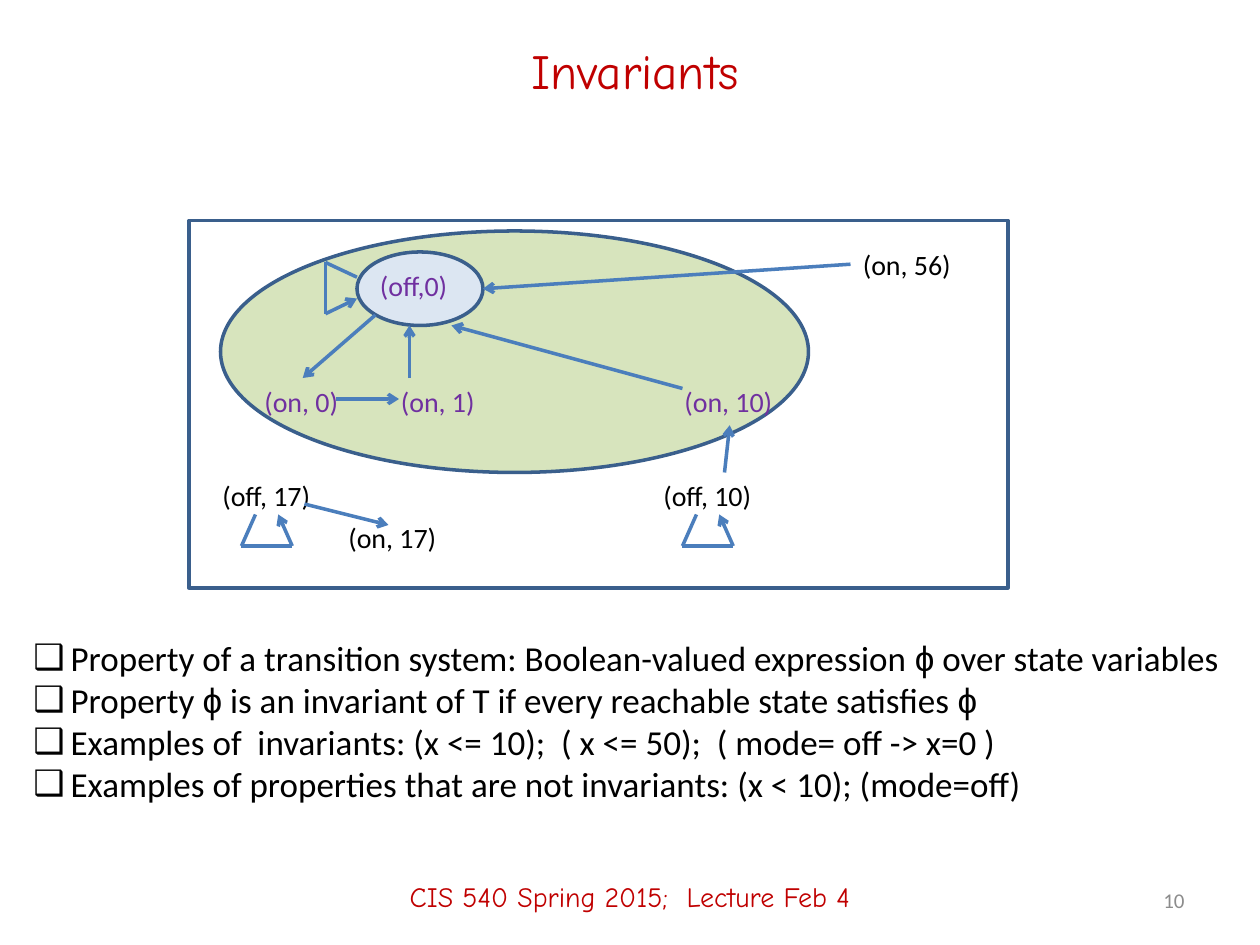
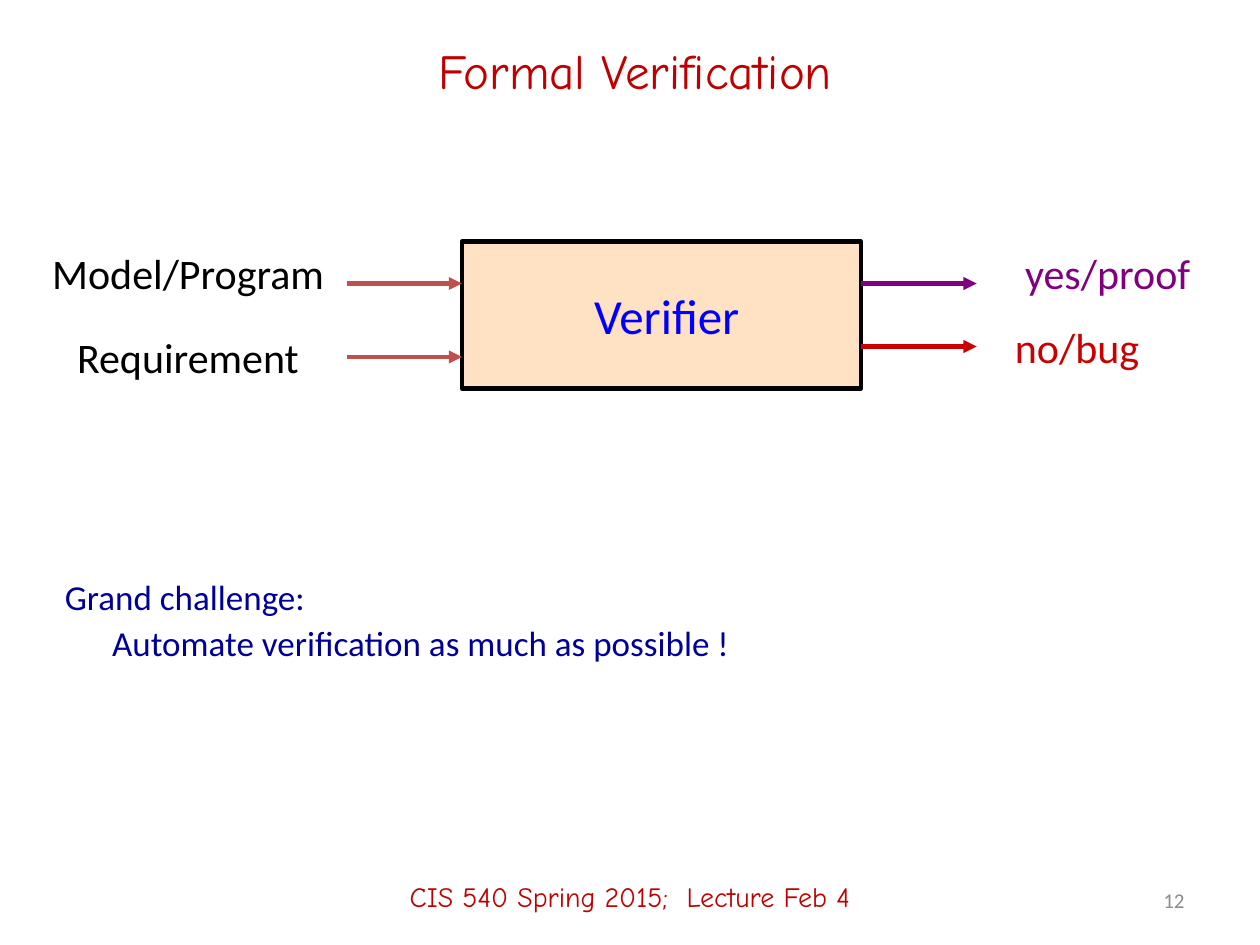
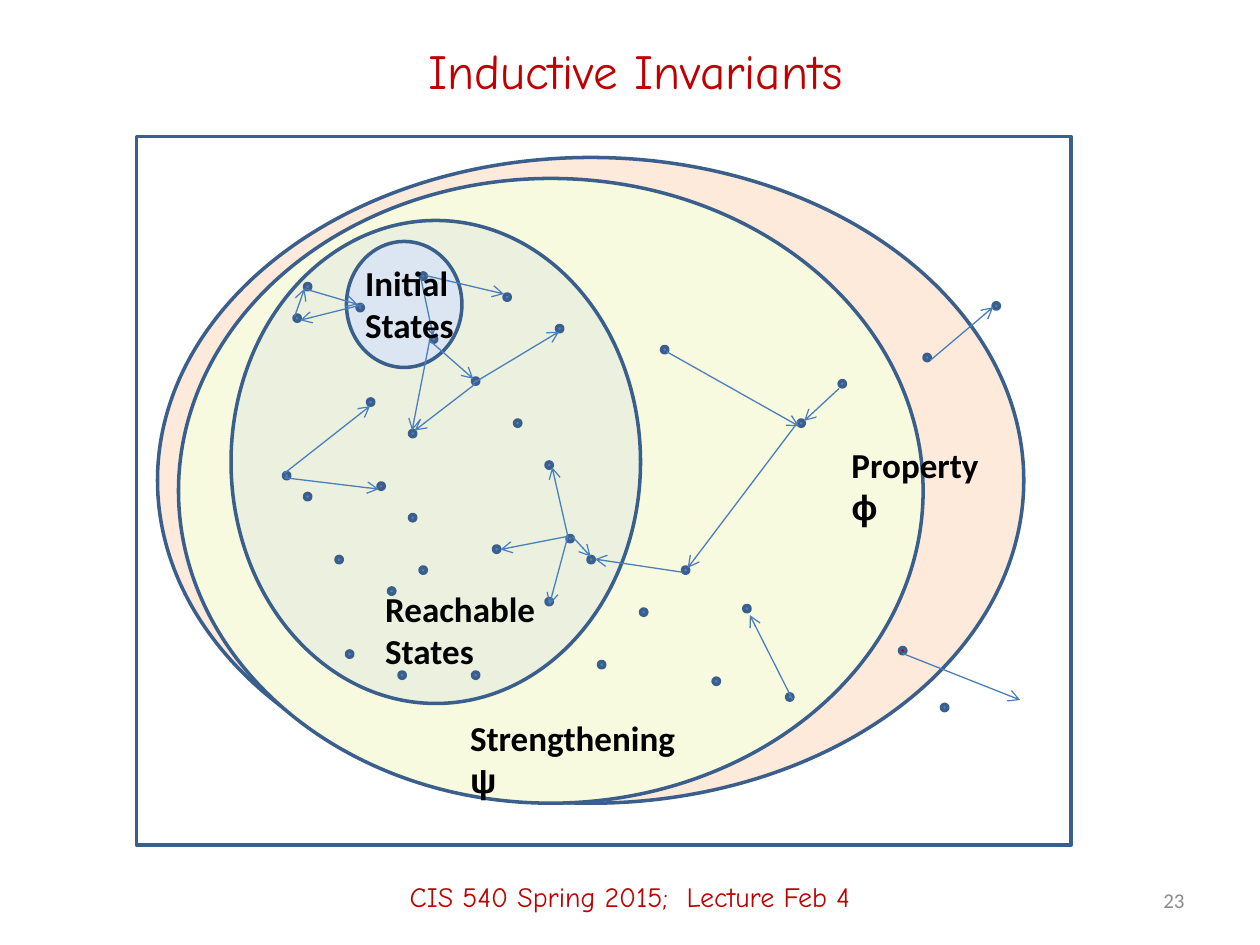
from collections import namedtuple
from itertools import groupby, pairwise

from lxml import etree
from pptx import Presentation
from pptx.dml.color import RGBColor
from pptx.enum import shapes, text
from pptx.oxml.ns import qn
from pptx.util import Pt

Box = namedtuple("Box", "left top width height")

BLACK = RGBColor(0x00, 0x00, 0x00)
TITLE_RED = RGBColor(0xC0, 0x00, 0x00)
NUMBER_GREY = RGBColor(0x8C, 0x8C, 0x8C)
OUTLINE_BLUE = RGBColor(0x3A, 0x5F, 0x8C)
ARROW_BLUE = RGBColor(0x4B, 0x7E, 0xBC)
DOT_BLUE = RGBColor(0x4F, 0x81, 0xBD)
INITIAL_BLUE = RGBColor(0xDC, 0xE6, 0xF2)
REACHABLE_GREEN = RGBColor(0xD7, 0xE4, 0xBD)
REACHABLE_PALE = RGBColor(0xEB, 0xF1, 0xDE)
STRENGTHENING_YELLOW = RGBColor(0xF7, 0xFA, 0xDE)
PROPERTY_PEACH = RGBColor(0xFD, 0xEA, 0xDA)
STATE_PURPLE = RGBColor(0x70, 0x30, 0xA0)
VERIFIER_FILL = RGBColor(0xFF, 0xCC, 0x99)
VERIFIER_BLUE = RGBColor(0x00, 0x00, 0xFF)
INPUT_RED = RGBColor(0xC0, 0x50, 0x4D)
PROOF_PURPLE = RGBColor(0x80, 0x00, 0x80)
BUG_RED = RGBColor(0xCC, 0x00, 0x00)
CHALLENGE_BLUE = RGBColor(0x00, 0x00, 0x99)

BODY_FONT = "Calibri"
TITLE_FONT = "Comic Neue"
GREEK_FONT = "Arial"
GREEK = "ϕψ"

LEFT, CENTER, RIGHT = text.PP_ALIGN.LEFT, text.PP_ALIGN.CENTER, text.PP_ALIGN.RIGHT
TOP, MIDDLE = text.MSO_ANCHOR.TOP, text.MSO_ANCHOR.MIDDLE
OVAL, RECTANGLE = shapes.MSO_SHAPE.OVAL, shapes.MSO_SHAPE.RECTANGLE


def within(box, left, top, width, height):
    """Turn a place relative to a box into a place on the slide."""
    return Box(box.left + left, box.top + top, width, height)


def add_text(slide, box, lines, size, color=BLACK, font=BODY_FONT, bold=False,
             align=LEFT, anchor=TOP, wrap=False):
    """Add one paragraph a line, with Greek letters in runs of their own font."""
    frame = slide.shapes.add_textbox(*map(Pt, box)).text_frame
    frame.word_wrap = wrap
    frame.vertical_anchor = anchor
    for index, line in enumerate(lines):
        paragraph = frame.add_paragraph() if index else frame.paragraphs[0]
        paragraph.alignment = align
        for is_greek, letters in groupby(line, lambda letter: letter in GREEK):
            run = paragraph.add_run()
            run.text = "".join(letters)
            run.font.name = GREEK_FONT if is_greek else font
            run.font.size = Pt(size)
            run.font.bold = bold
            run.font.color.rgb = color
    return frame


def set_indent(paragraph, margin, first_line):
    properties = paragraph._p.get_or_add_pPr()
    properties.set("marL", str(Pt(margin)))
    properties.set("indent", str(Pt(first_line)))
    return properties


def add_outlined(slide, kind, box, fill=None, line=OUTLINE_BLUE, weight=2):
    shape = slide.shapes.add_shape(kind, *map(Pt, box))
    shape.shadow.inherit = False
    if fill is None:
        shape.fill.background()
    else:
        shape.fill.solid()
        shape.fill.fore_color.rgb = fill
    shape.line.color.rgb = line
    shape.line.width = Pt(weight)
    return shape


def add_line(slide, box, start, end, color=ARROW_BLUE, weight=2, head="arrow"):
    ends = [Pt(value) for x, y in (start, end) for value in (box.left + x, box.top + y)]
    connector = slide.shapes.add_connector(shapes.MSO_CONNECTOR.STRAIGHT, *ends)
    connector.line.color.rgb = color
    connector.line.width = Pt(weight)
    if head:
        etree.SubElement(connector.line._get_or_add_ln(), qn("a:tailEnd"), type=head)
    etree.SubElement(connector._element.spPr, qn("a:effectLst"))


def add_self_loop(slide, box, corners):
    sides = list(pairwise(corners))
    for side in sides:
        add_line(slide, box, *side, head="arrow" if side == sides[-1] else None)


def add_lecture_slide(presentation, title, number):
    """Add a slide with the title, footer and number that all slides share."""
    slide = presentation.slides.add_slide(presentation.slide_layouts[6])
    heading = dict(color=TITLE_RED, font=TITLE_FONT, align=CENTER, anchor=MIDDLE, wrap=True)
    add_text(slide, Box(54, 12, 618, 56), [title], 28, **heading)
    add_text(slide, Box(0, 484, 720, 56), ["CIS 540 Spring 2015;  Lecture Feb 4"], 16, **heading)
    add_text(slide, Box(516, 500, 168, 29), [str(number)], 12, NUMBER_GREY,
             align=RIGHT, anchor=MIDDLE, wrap=True)
    return slide


def add_transition_system(slide, box):
    add_outlined(slide, OVAL, within(box, 18, 6, 336, 138), REACHABLE_GREEN)
    add_outlined(slide, RECTANGLE, box)
    add_outlined(slide, OVAL, within(box, 96, 18, 72, 42), INITIAL_BLUE)

    states = [
        ("(off,0)", 102, 24, 54, STATE_PURPLE),
        ("(on, 0)", 36, 90, 58, STATE_PURPLE),
        ("(on, 1)", 114, 90, 58, STATE_PURPLE),
        ("(on, 10)", 276, 90, 66, STATE_PURPLE),
        ("(on, 56)", 378, 12, 66, BLACK),
        ("(off, 17)", 12, 144, 66, BLACK),
        ("(on, 17)", 84, 168, 66, BLACK),
        ("(off, 10)", 264, 144, 66, BLACK),
    ]
    for name, left, top, width, color in states:
        add_text(slide, within(box, left, top, width, 27), [name], 16, color)

    transitions = [
        ((84, 102), (120, 102)),
        ((378, 25), (168, 39)),
        ((106.5, 54), (65, 90)),
        ((66, 162), (114, 174)),
        ((126, 90), (126, 60)),
        ((282, 96), (150, 60)),
        ((306, 144), (309, 117)),
    ]
    for start, end in transitions:
        add_line(slide, box, start, end)

    add_self_loop(slide, box, [(96, 32.4), (78, 24), (78, 53.3), (96, 44.6)])
    for left in (30, 282):
        add_self_loop(slide, box, [(left + 8, 168), (left, 186), (left + 29, 186), (left + 21, 168)])


def add_bullets(slide, box, lines):
    frame = add_text(slide, box, lines, 20, wrap=True)
    for paragraph in frame.paragraphs:
        properties = set_indent(paragraph, 21.3, -21.3)
        etree.SubElement(properties, qn("a:buFont"), typeface=GREEK_FONT)
        etree.SubElement(properties, qn("a:buChar"), char="❑")


def add_verifier(slide, box):
    verifier_left, verifier_right, arrow_length = 242, 470, 66
    verifier = add_outlined(slide, RECTANGLE,
                            within(box, verifier_left, 0, verifier_right - verifier_left, box.height),
                            VERIFIER_FILL, BLACK, 2.5)
    fill_color = verifier._element.spPr.find(qn("a:solidFill")).find(qn("a:srgbClr"))
    etree.SubElement(fill_color, qn("a:alpha"), val="58000")

    arrows = [
        (verifier_left - arrow_length, 24, INPUT_RED),
        (verifier_left - arrow_length, 66, INPUT_RED),
        (verifier_right, 24, PROOF_PURPLE),
        (verifier_right, 60, BUG_RED),
    ]
    for left, top, color in arrows:
        add_line(slide, box, (left, top), (left + arrow_length, top), color, 2.5, "triangle")

    labels = [
        ("Model/Program", 0, 0, 171, BLACK),
        ("Requirement", 8, 48, 155, BLACK),
        ("yes/proof", 548, 0, 126, PROOF_PURPLE),
        ("no/bug", 548, 42, 91, BUG_RED),
    ]
    for label, left, top, width, color in labels:
        add_text(slide, within(box, left, top, width, 36), [label], 24, color,
                 align=CENTER, anchor=MIDDLE)
    add_text(slide, within(box, 230, 0, 258, box.height), ["Verifier"], 28, VERIFIER_BLUE,
             align=CENTER, anchor=MIDDLE, wrap=True)


def add_challenge(slide, box):
    lines = ["Grand challenge:", "Automate verification as much as possible !"]
    heading, goal = add_text(slide, box, lines, 20, CHALLENGE_BLUE, wrap=True).paragraphs
    set_indent(heading, 27, -27)
    set_indent(goal, 27, 0)
    heading.line_spacing = goal.line_spacing = 0.8
    goal.space_before = Pt(7)


def add_state_space(slide, box):
    regions = [
        ((12, 12, 495, 369), PROPERTY_PEACH),
        ((24, 24, 425.5, 357), STRENGTHENING_YELLOW),
        ((54, 48, 234, 276), REACHABLE_PALE),
        ((120, 60, 66, 72), INITIAL_BLUE),
    ]
    for place, fill in regions:
        add_outlined(slide, OVAL, within(box, *place), fill)
    add_outlined(slide, RECTANGLE, box)

    states = [
        (96, 84), (126, 96), (90, 102), (132, 150), (162, 78), (168, 114), (156, 168),
        (156, 216), (210, 90), (216, 162), (138, 198), (144, 258), (240, 108), (192, 138),
        (162, 246), (204, 234), (84, 192), (96, 204), (114, 240), (120, 294), (246, 228),
        (258, 240), (234, 264), (192, 306), (234, 186), (300, 120), (288, 270), (150, 306),
        (264, 300), (378, 162), (312, 246), (347, 268), (329.5, 309.5), (450, 124.5),
        (371.5, 318.5), (460, 324.5), (489.5, 95), (401.5, 139.5),
    ]
    violating_state = (436, 292)
    for state in states + [violating_state]:
        color = TITLE_RED if state == violating_state else DOT_BLUE
        add_outlined(slide, OVAL, within(box, *state, 3.6, 3.6), color)

    transitions = [
        ((165.5, 79.5), (210, 90)),
        ((162.5, 81), (169.5, 114)),
        ((246.5, 228.5), (236, 267.5)),
        ((246.5, 228.5), (208, 236)),
        ((249, 228.5), (259.5, 240)),
        ((246.5, 228.5), (237.5, 189)),
        ((84.5, 192.5), (133.5, 154)),
        ((84.5, 195), (138.5, 201.5)),
        ((312, 249), (262, 241.5)),
        ((303, 123), (378.5, 165.5)),
        ((378.5, 162.5), (315, 246.5)),
        ((168, 117), (192.5, 138.5)),
        ((168, 114), (157.5, 168)),
        ((193.5, 141.5), (159, 168)),
        ((192.5, 141), (241.5, 111.5)),
        ((129.5, 96), (93.5, 105)),
        ((90.5, 102.5), (96, 87)),
        ((96, 87), (126.5, 96)),
        ((453.5, 128), (489.5, 97.5)),
        ((438, 295.5), (505, 322)),
        ((375, 322), (350.5, 273.5)),
        ((401.5, 144), (381.5, 162.5)),
    ]
    for start, end in transitions:
        add_line(slide, box, start, end, weight=0.75)

    labels = [
        (["Initial", "States"], (123.5, 68, 65.5, 55), False),
        (["Reachable", "States"], (135, 254, 101, 55), False),
        (["Property ϕ"], (401.5, 172, 102, 32), True),
        (["Strengthening ψ"], (183.5, 328, 151, 32), False),
    ]
    for lines, place, wrap in labels:
        add_text(slide, within(box, *place), lines, 20, bold=True, wrap=wrap)


def main():
    presentation = Presentation()
    presentation.slide_width, presentation.slide_height = Pt(720), Pt(540)

    invariants = add_lecture_slide(presentation, "Invariants", 10)
    add_transition_system(invariants, Box(108, 126, 468, 210))
    add_bullets(invariants, Box(12, 360, 696, 104), [
        "Property of a transition system: Boolean-valued expression ϕ over state variables",
        "Property ϕ is an invariant of T if every reachable state satisfies ϕ",
        "Examples of  invariants: (x <= 10);  ( x <= 50);  ( mode= off -> x=0 )",
        "Examples of properties that are not invariants: (x < 10); (mode=off)",
    ])

    verification = add_lecture_slide(presentation, "Formal Verification", 12)
    add_verifier(verification, Box(22, 138, 674, 84))
    add_challenge(verification, Box(30, 330, 678, 96))

    inductive = add_lecture_slide(presentation, "Inductive Invariants", 23)
    add_state_space(inductive, Box(78, 78, 534, 405))

    presentation.save("out.pptx")


if __name__ == "__main__":
    main()
